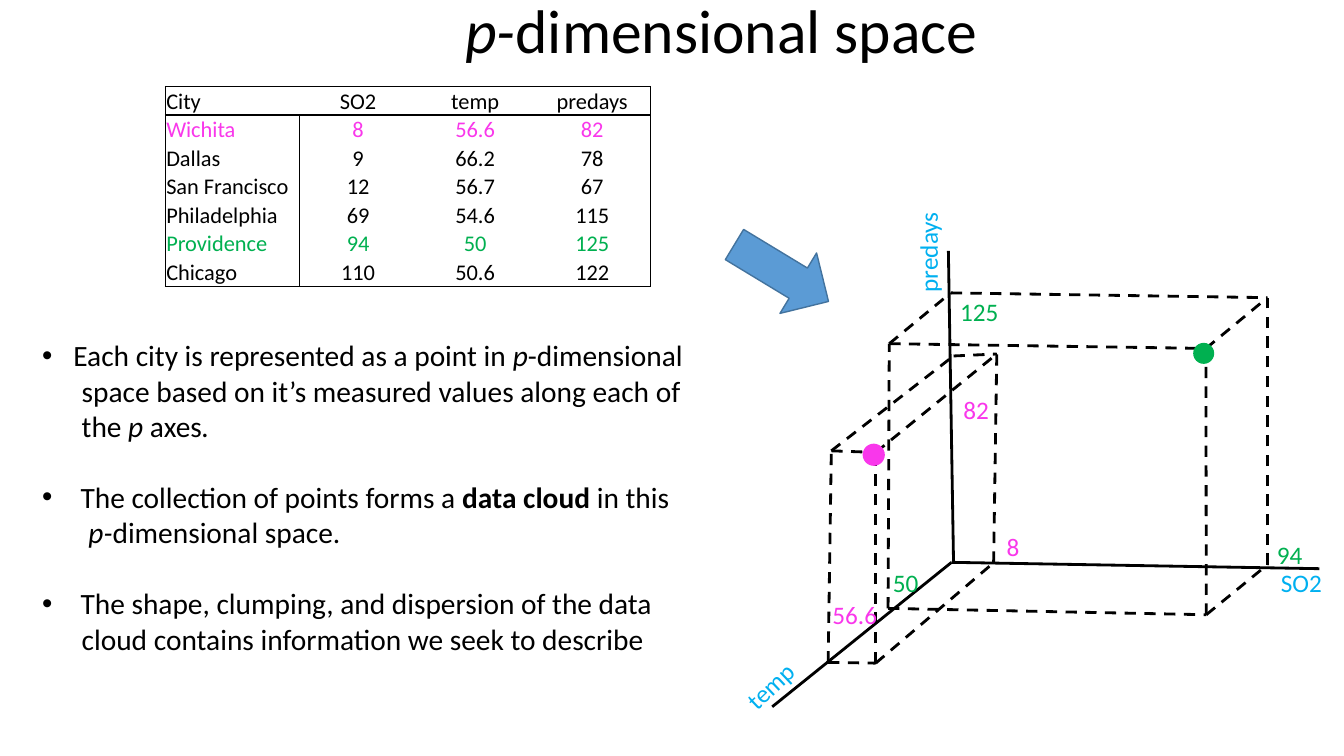
from lxml.etree import SubElement
from pptx import Presentation
from pptx.dml.color import RGBColor
from pptx.enum.dml import MSO_LINE
from pptx.enum.shapes import MSO_CONNECTOR, MSO_SHAPE
from pptx.enum.text import MSO_ANCHOR, MSO_AUTO_SIZE, PP_ALIGN
from pptx.oxml.ns import qn
from pptx.util import Cm, Pt

COLORS = {"black": "000000", "pink": "F937EB", "green": "00B050",
          "axis": "00B0F0", "arrow": "5B9BD5", "arrow_edge": "43739E"}
FONT = "Calibri"

CITIES = [
    ("City", "SO2", "temp", "predays"),
    ("Wichita", "8", "56.6", "82"),
    ("Dallas", "9", "66.2", "78"),
    ("San Francisco", "12", "56.7", "67"),
    ("Philadelphia", "69", "54.6", "115"),
    ("Providence", "94", "50", "125"),
    ("Chicago", "110", "50.6", "122"),
]
CITY_COLORS = {"Wichita": "pink", "Providence": "green"}

AXES = [((19.46, 17.81), (23.98, 14.17)),
        ((24.03, 14.17), (23.9, 6.32)),
        ((23.98, 14.17), (33.25, 14.33))]

BOXES = [
    {"temp": (20.87, 16.69), "corner": (22.07, 16.71), "so2": (25.04, 14.18),
     "height": (24.03, 8.97), "temp_top": (20.95, 11.36),
     "so2_top": (25.12, 8.92), "city": (22.07, 11.4)},
    {"temp": (22.38, 15.33), "corner": (30.4, 15.49), "so2": (31.94, 14.23),
     "height": (23.96, 7.38), "temp_top": (22.41, 8.66),
     "so2_top": (31.94, 7.5), "city": (30.39, 8.78)},
]
EDGES = [("temp", "corner"), ("corner", "so2"), ("so2", "so2_top"),
         ("height", "so2_top"), ("temp_top", "height"), ("corner", "city"),
         ("temp", "temp_top"), ("temp_top", "city"), ("city", "so2_top")]

LABELS = [
    ("SO2", 32.03, 14.17, 1.55, "axis", 0),
    ("temp", 18.47, 16.76, 1.88, "axis", 316.5),
    ("predays", 22.1, 5.82, 2.57, "axis", 270),
    ("8", 25.12, 13.26, 0.84, "pink", 0),
    ("82", 24.03, 9.8, 1.17, "pink", 0),
    ("56.6", 20.73, 14.99, 1.65, "pink", 0),
    ("50", 22.25, 14.17, 1.17, "green", 0),
    ("94", 31.93, 13.46, 1.17, "green", 0),
    ("125", 23.95, 7.34, 1.5, "green", 0),
]

ITALIC = {"italic": True}
POINTS = [
    (True, 0.79, [("Each city is represented as a point in ", {}),
                  ("p", ITALIC), ("-dimensional", {})]),
    (False, 1, [("space based on it’s measured values along each of", {})]),
    (False, 1, [("the ", {}), ("p ", ITALIC), ("axes", {}), (".", ITALIC)]),
    (True, 0.97, [("The collection of points forms a ", {}),
                  ("data cloud ", {"bold": True}), ("in this", {})]),
    (False, 1.17, [("p-", ITALIC), ("dimensional space.", {})]),
    (True, 0.97, [("The shape, clumping, and dispersion of the data", {})]),
    (False, 1, [("cloud contains information we seek to describe", {})]),
]


def rgb(name):
    return RGBColor.from_string(COLORS[name])


def write(paragraph, text, size=18, color="black", bold=False, italic=False):
    run = paragraph.add_run()
    run.text = text
    run.font.name = FONT
    run.font.size = Pt(size)
    run.font.bold = bold
    run.font.italic = italic
    run.font.color.rgb = rgb(color)


class SpaceSlide:
    def __init__(self, deck):
        self.slide = deck.slides.add_slide(deck.slide_layouts[5])
        self.shapes = self.slide.shapes

    def title(self, runs, left, top, width, height):
        heading = self.shapes.title
        heading.left, heading.top = Cm(left), Cm(top)
        heading.width, heading.height = Cm(width), Cm(height)
        frame = heading.text_frame
        frame.auto_size = MSO_AUTO_SIZE.NONE
        frame.vertical_anchor = MSO_ANCHOR.MIDDLE
        paragraph = frame.paragraphs[0]
        paragraph.alignment = PP_ALIGN.CENTER
        paragraph.line_spacing = 0.9
        for text, style in runs:
            write(paragraph, text, size=44, **style)

    def border(self, cell, side, visible, index):
        properties = cell._tc.get_or_add_tcPr()
        edge = SubElement(properties, qn(f"a:ln{side}"), w=str(Pt(1)))
        properties.insert(index, edge)
        if visible:
            fill = SubElement(edge, qn("a:solidFill"))
            SubElement(fill, qn("a:srgbClr"), val=COLORS["black"])
        else:
            SubElement(edge, qn("a:noFill"))

    def table(self, rows, left, top, widths, row_height):
        frame = self.shapes.add_table(
            len(rows), len(widths), Cm(left), Cm(top),
            Cm(sum(widths)), Cm(row_height * len(rows)))
        grid = frame.table
        grid.first_row = grid.horz_banding = False
        for column, width in zip(grid.columns, widths):
            column.width = Cm(width)
        last_row, last_column = len(rows) - 1, len(widths) - 1
        for r, values in enumerate(rows):
            grid.rows[r].height = Cm(row_height)
            for c, value in enumerate(values):
                cell = grid.cell(r, c)
                cell.fill.background()
                cell.vertical_anchor = MSO_ANCHOR.BOTTOM
                cell.margin_left = cell.margin_right = cell.margin_top = Cm(0.02)
                cell.margin_bottom = 0
                paragraph = cell.text_frame.paragraphs[0]
                paragraph.alignment = PP_ALIGN.CENTER if c else PP_ALIGN.LEFT
                write(paragraph, value, size=16,
                      color=CITY_COLORS.get(values[0], "black"))
                sides = {"L": c == 0 or (c == 1 and r > 0),
                         "R": c == last_column or (c == 0 and r > 0),
                         "T": r in (0, 1),
                         "B": r in (0, last_row)}
                for index, (side, visible) in enumerate(sides.items()):
                    self.border(cell, side, visible, index)

    def line(self, start, end, dashed=False):
        connector = self.shapes.add_connector(
            MSO_CONNECTOR.STRAIGHT, *(Cm(v) for v in (*start, *end)))
        connector.line.color.rgb = rgb("black")
        connector.line.width = Pt(2)
        if dashed:
            connector.line.dash_style = MSO_LINE.DASH
        SubElement(connector._element.spPr, qn("a:effectLst"))

    def shape(self, kind, left, top, width, height, fill, edge=None, rotation=0):
        shape = self.shapes.add_shape(
            kind, Cm(left), Cm(top), Cm(width), Cm(height))
        shape.shadow.inherit = False
        shape.rotation = rotation
        shape.fill.solid()
        shape.fill.fore_color.rgb = rgb(fill)
        if edge:
            shape.line.color.rgb = rgb(edge)
            shape.line.width = Pt(1)
        else:
            shape.line.fill.background()

    def label(self, text, left, top, width, color, rotation):
        box = self.shapes.add_textbox(Cm(left), Cm(top), Cm(width), Cm(1.02))
        box.rotation = rotation
        box.text_frame.word_wrap = False
        write(box.text_frame.paragraphs[0], text, color=color)

    def bullets(self, points, left, top, width, height):
        frame = self.shapes.add_textbox(
            Cm(left), Cm(top), Cm(width), Cm(height)).text_frame
        frame.word_wrap = True
        for index, (bulleted, indent, runs) in enumerate(points):
            paragraph = frame.add_paragraph() if index else frame.paragraphs[0]
            properties = paragraph._p.get_or_add_pPr()
            properties.set("marL", str(Cm(indent)))
            properties.set("indent", str(-Cm(indent) if bulleted else 0))
            if bulleted:
                SubElement(properties, qn("a:buFont"), typeface="Arial")
                SubElement(properties, qn("a:buChar"), char="•")
                if index:
                    paragraph.space_before = Pt(25.6)
            for text, style in runs:
                write(paragraph, text, size=21, **style)


def main():
    deck = Presentation()
    deck.slide_width, deck.slide_height = Cm(33.87), Cm(19.05)
    space = SpaceSlide(deck)
    space.title([("p-", ITALIC), ("dimensional space", {})],
                3.58, -0.99, 29.21, 3.68)
    space.table(CITIES, 4.17, 2.18, [3.38, 2.95, 2.95, 2.95], 0.72)
    for start, end in AXES:
        space.line(start, end)
    for box in BOXES:
        for start, end in EDGES:
            space.line(box[start], box[end], dashed=True)
    for label in LABELS:
        space.label(*label)
    space.shape(MSO_SHAPE.OVAL, 21.74, 11.18, 0.56, 0.56, "pink")
    space.shape(MSO_SHAPE.OVAL, 30.07, 8.64, 0.53, 0.53, "green")
    space.shape(MSO_SHAPE.RIGHT_ARROW, 18.31, 5.99, 2.77, 1.78,
                "arrow", edge="arrow_edge", rotation=31.2)
    space.bullets(POINTS, 0.81, 8.38, 16.94, 10.5)
    deck.save("out.pptx")


if __name__ == "__main__":
    main()
